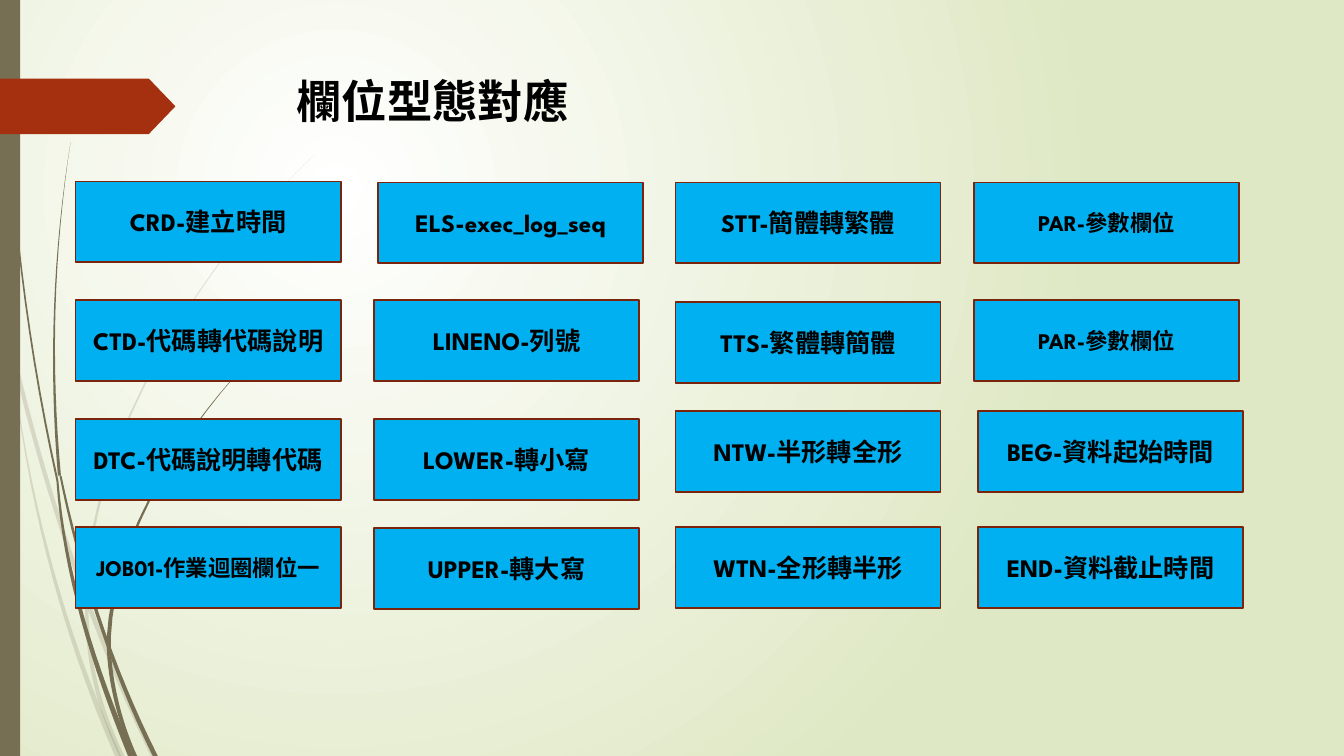
from dataclasses import dataclass

from lxml.etree import SubElement
from pptx import Presentation
from pptx.dml.color import RGBColor
from pptx.enum.shapes import MSO_SHAPE as Preset
from pptx.enum.text import MSO_ANCHOR as Anchor, PP_ALIGN as Align
from pptx.oxml.ns import qn
from pptx.shapes.autoshape import Shape
from pptx.slide import Slide
from pptx.util import Inches, Pt

SLIDE_WIDTH, SLIDE_HEIGHT = 13.33, 7.5
COLORS = {
    "center": "FFFFFF", "edge": "DFE8C4", "stem": "766F54", "arrow": "A53010",
    "box": "00B0F0", "border": "7A240C", "text": "000000",
}
FONT = "League Spartan"

BOX_WIDTH, BOX_HEIGHT = 2.63, 0.8
COLUMN_LEFTS = (0.75, 3.71, 6.7, 9.66)
ROW_TOPS = (1.81, 2.98, 4.16, 5.23)

STEM_STEPS = 16
PALE, SOLID = 20, 100  # opacity in percent

Point = tuple[float, float]


@dataclass(frozen=True)
class Stem:
    """A grass stem: a cubic Bezier centre line, top to bottom, with a width at each end."""
    start: Point
    start_pull: Point
    end_pull: Point
    end: Point
    start_width: float
    end_width: float
    opacity: int = SOLID

    def center(self, t: float) -> Point:
        u = 1 - t
        weights = (u ** 3, 3 * u * u * t, 3 * u * t * t, t ** 3)
        points = (self.start, self.start_pull, self.end_pull, self.end)
        return (sum(w * x for w, (x, _) in zip(weights, points)),
                sum(w * y for w, (_, y) in zip(weights, points)))

    def outline(self) -> list[Point]:
        """Walk down the left edge and back up the right edge."""
        left, right = [], []
        for step in range(STEM_STEPS + 1):
            t = step / STEM_STEPS
            x, y = self.center(t)
            half = (self.start_width + (self.end_width - self.start_width) * t) / 2
            left.append((x - half, y))
            right.append((x + half, y))
        return left + right[::-1]


@dataclass(frozen=True)
class Field:
    """A box in the grid; the nudges move it off its grid position."""
    text: str
    size: float = 18
    nudge_x: float = 0
    nudge_y: float = 0


PALE_FORK, DARK_FORK, DARK_BEND = (0.86, 5.84), (0.57, 4.77), (1.08, 6.32)

STEMS = [
    # Pale clump: long stem, its left neighbour, then the blade leaning right and its root
    Stem((0, 2.9), (0.31, 4.43), (0.78, 5.97), (1.52, 7.5), 0.04, 0.05, PALE),
    Stem((0.11, 3.5), (0.26, 4.83), (0.58, 6.17), (1.17, 7.5), 0, 0.06, PALE),
    Stem((3.12, 1.53), (2, 2.6), (0.9, 4.35), PALE_FORK, 0, 0.03, PALE),
    Stem(PALE_FORK, (0.85, 6.4), (0.92, 6.9), (1.21, 7.5), 0.03, 0.05, PALE),
    # Dark clump: stem from the top edge, its two roots, the upright blade
    Stem((0.04, 0), (0.06, 1.6), (0.22, 3.2), DARK_FORK, 0.01, 0.02),
    Stem(DARK_FORK, (0.64, 5.7), (0.93, 6.6), (1.3, 7.5), 0.02, 0.06),
    Stem((0.6, 4.72), (0.78, 5.6), (1.09, 6.6), (1.54, 7.5), 0.02, 0.05),
    Stem((0.7, 1.41), (0.53, 2.5), (0.49, 3.6), (0.59, 4.72), 0, 0.03),
    # Dark blade leaning right and its root
    Stem((2.6, 3.44), (1.85, 4.2), (1.13, 5.3), DARK_BEND, 0, 0.04),
    Stem(DARK_BEND, (1.07, 6.7), (1.18, 7.15), (1.34, 7.5), 0.04, 0.04),
]

FIELD_ROWS = [
    [Field("CRD-建立時間", nudge_y=-0.01), Field("ELS-exec_log_seq", nudge_x=0.04),
     Field("STT-簡體轉繁體"), Field("PAR-參數欄位", size=16)],
    [Field("CTD-代碼轉代碼說明"), Field("LINENO-列號"),
     Field("TTS-繁體轉簡體", nudge_y=0.02), Field("PAR-參數欄位", size=16)],
    [Field("DTC-代碼說明轉代碼"), Field("LOWER-轉小寫"),
     Field("NTW-半形轉全形", nudge_y=-0.08),
     Field("BEG-資料起始時間", nudge_x=0.04, nudge_y=-0.08)],
    [Field("JOB01-作業迴圈欄位一", size=16), Field("UPPER-轉大寫", nudge_y=0.01),
     Field("WTN-全形轉半形"), Field("END-資料截止時間", nudge_x=0.04)],
]


def rgb(name: str) -> RGBColor:
    return RGBColor.from_string(COLORS[name])


def paint_background(slide: Slide) -> None:
    """Fill the slide with a circular gradient centred in its upper left."""
    fill = slide.background.fill
    fill.gradient()
    for stop, position, name in zip(fill.gradient_stops, (0, 1), ("center", "edge")):
        stop.position = position
        stop.color.rgb = rgb(name)
    gradient = next(slide.element.iter(qn("a:gradFill")))
    gradient.remove(gradient.find(qn("a:lin")))
    circle = SubElement(gradient, qn("a:path"), {"path": "circle"})
    SubElement(circle, qn("a:fillToRect"), l="50000", t="50000", r="100000", b="100000")


def paint(shape: Shape, color: str, border: str | None = None, opacity: int = SOLID) -> None:
    shape.shadow.inherit = False
    shape.fill.solid()
    shape.fill.fore_color.rgb = rgb(color)
    if opacity < SOLID:
        solid_fill = shape.element.spPr.find(qn("a:solidFill"))
        SubElement(solid_fill[0], qn("a:alpha"), val=str(opacity * 1000))
    if border:
        shape.line.color.rgb = rgb(border)
        shape.line.width = Pt(1.25)
    else:
        shape.line.fill.background()


def add_stem(slide: Slide, stem: Stem) -> None:
    first, *others = [(Inches(x), Inches(y)) for x, y in stem.outline()]
    builder = slide.shapes.build_freeform(*first)
    builder.add_line_segments(others, close=True)
    paint(builder.convert_to_shape(), "stem", opacity=stem.opacity)


def add_preset(slide: Slide, preset: Preset, left: float, top: float,
               width: float, height: float) -> Shape:
    return slide.shapes.add_shape(
        preset, Inches(left), Inches(top), Inches(width), Inches(height))


def write(shape: Shape, text: str, *, size: float, align: Align = Align.LEFT,
          anchor: Anchor = Anchor.TOP) -> None:
    frame = shape.text_frame
    frame.word_wrap = True
    frame.vertical_anchor = anchor
    paragraph = frame.paragraphs[0]
    paragraph.alignment = align
    run = paragraph.add_run()
    run.text = text
    run.font.name = FONT
    run.font.size = Pt(size)
    run.font.bold = True
    run.font.color.rgb = rgb("text")


def add_decoration(slide: Slide) -> None:
    """Draw the stems, the bar on the left edge and the arrow beside the title."""
    for stem in STEMS:
        add_stem(slide, stem)
    paint(add_preset(slide, Preset.RECTANGLE, 0, 0, 0.2, SLIDE_HEIGHT), "stem")
    arrow = add_preset(slide, Preset.PENTAGON, 0, 0.78, 1.74, 0.55)
    arrow.adjustments[0] = 0.48
    paint(arrow, "arrow")


def add_title(slide: Slide, text: str) -> None:
    title = slide.shapes.add_textbox(Inches(2.84), Inches(0.68), Inches(9.75), Inches(0.73))
    write(title, text, size=32.4)


def add_field_grid(slide: Slide) -> None:
    for top, row in zip(ROW_TOPS, FIELD_ROWS):
        for left, field in zip(COLUMN_LEFTS, row):
            box = add_preset(slide, Preset.RECTANGLE, left + field.nudge_x,
                             top + field.nudge_y, BOX_WIDTH, BOX_HEIGHT)
            paint(box, "box", border="border")
            write(box, field.text, size=field.size, align=Align.CENTER, anchor=Anchor.MIDDLE)


def main() -> None:
    presentation = Presentation()
    presentation.slide_width = Inches(SLIDE_WIDTH)
    presentation.slide_height = Inches(SLIDE_HEIGHT)
    slide = presentation.slides.add_slide(presentation.slide_layouts[6])
    paint_background(slide)
    add_decoration(slide)
    add_title(slide, "欄位型態對應")
    add_field_grid(slide)
    presentation.save("out.pptx")


if __name__ == "__main__":
    main()
